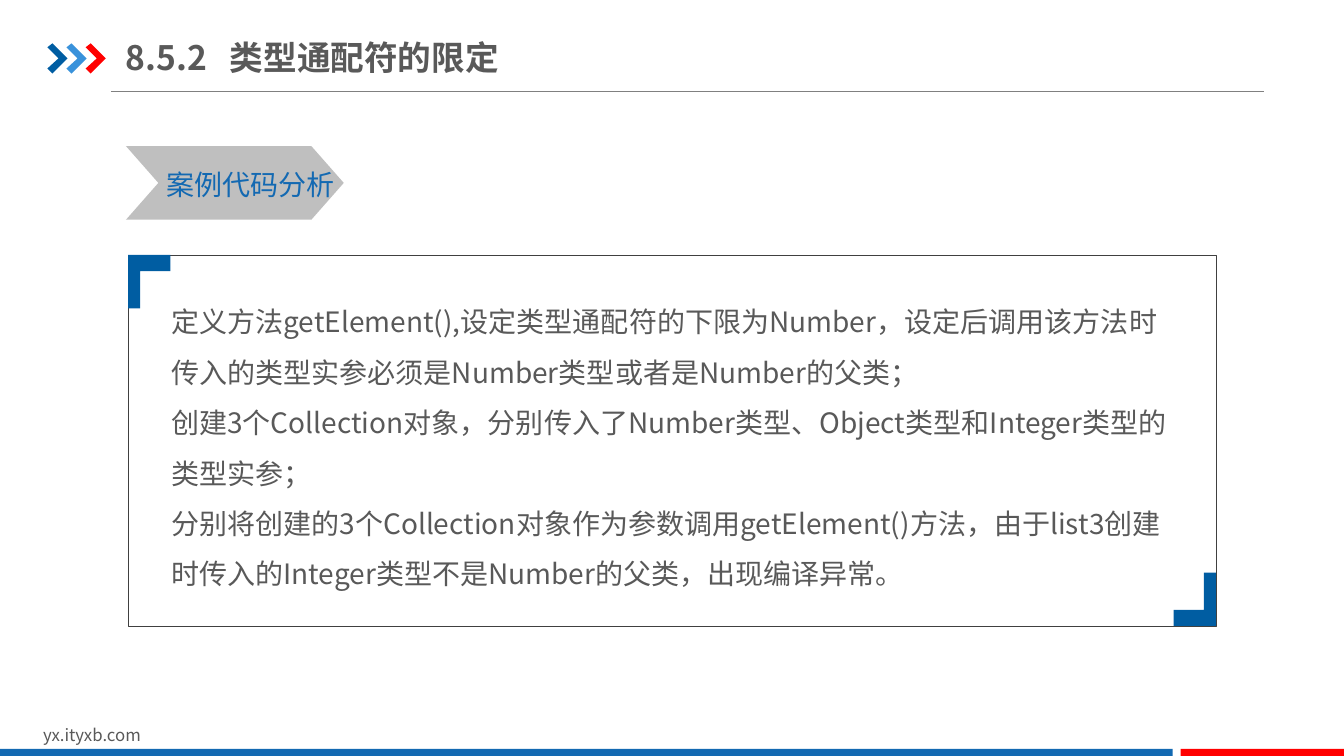
from pptx import Presentation
from pptx.dml.color import RGBColor as RGB
from pptx.enum.shapes import MSO_CONNECTOR as LINE, MSO_SHAPE as SHAPE
from pptx.enum.text import MSO_ANCHOR as ANCHOR
from pptx.oxml.ns import qn
from pptx.util import Inches, Pt
from lxml.etree import SubElement

FONT = "Noto Sans CJK SC"
COLORS = {"navy": "005DA2", "sky": "3992DB", "red": "FF0000", "blue": "1369B2",
          "text": "595959", "rule": "808080", "arrow": "BFBFBF", "frame": "404040"}

deck = Presentation()
deck.slide_width, deck.slide_height = Inches(13.33), Inches(7.5)
slide = deck.slides.add_slide(deck.slide_layouts[6])
shapes = slide.shapes


def paint(shape, color):
    shape.shadow.inherit = False
    shape.fill.solid()
    shape.fill.fore_color.rgb = RGB.from_string(COLORS[color])
    shape.line.fill.background()


def write(place, lines, size, color="text", wrap=True, bold=None):
    box = shapes.add_textbox(*map(Inches, place))
    frame = box.text_frame
    frame.word_wrap = wrap
    frame.text = lines
    for para in frame.paragraphs:
        for run in para.runs:
            font = run.font
            font.size, font.bold, font.name = Pt(size), bold, FONT
            font.color.rgb = RGB.from_string(COLORS[color])
            SubElement(font._element, qn("a:ea"), typeface=FONT)
    return frame


# Header rule
rule = shapes.add_connector(LINE.STRAIGHT, Inches(1.1), Inches(0.91), Inches(12.54), Inches(0.91))
rule.line.color.rgb = RGB.from_string(COLORS["rule"])
rule.line.width = Pt(0.75)
SubElement(rule._element.spPr, qn("a:effectLst"))

# Header arrows
arrow = [(0, 0.04), (0.05, 0), (0.2, 0.15), (0.05, 0.3), (0, 0.25), (0.11, 0.15)]
for i, color in enumerate(["navy", "sky", "red"]):
    points = [(Inches(0.47 + 0.19 * i + x), Inches(0.43 + y)) for x, y in arrow]
    form = shapes.build_freeform(*points[0])
    form.add_line_segments(points[1:])
    paint(form.convert_to_shape(), color)

# Footer
write((0.33, 7.14, 3.18, 0.3), "yx.ityxb.com", 12)
for left, width, color in [(0, 11.63, "blue"), (11.71, 1.62, "red")]:
    bar = shapes.add_shape(SHAPE.RECTANGLE, Inches(left), Inches(7.43), Inches(width), Inches(0.07))
    paint(bar, color)

# Title, with a tab between number and name
title = write((1.25, 0.29, 4.26, 0.55), "8.5.2\t类型通配符的限定", 24, bold=True)
title.margin_left = title.margin_right = 0
title.margin_top = title.margin_bottom = Inches(0.07)
title.vertical_anchor = ANCHOR.MIDDLE
tabs = SubElement(title.paragraphs[0]._p.get_or_add_pPr(), qn("a:tabLst"))
SubElement(tabs, qn("a:tab"), pos=str(Inches(1.03)), algn="l")

# Section label
label = shapes.add_shape(SHAPE.CHEVRON, Inches(1.25), Inches(1.45), Inches(2.16), Inches(0.73))
label.adjustments[0] = 0.44
paint(label, "arrow")
write((1.55, 1.61, 1.87, 0.44), "案例代码分析", 20, "blue", wrap=False)

# Analysis text
body = write((1.6, 2.81, 10.13, 3.13), "\n".join([
    "定义方法getElement(),设定类型通配符的下限为Number，设定后调用该方法时传入的类型实参"
    "必须是Number类型或者是Number的父类；",
    "创建3个Collection对象，分别传入了Number类型、Object类型和Integer类型的类型实参；",
    "分别将创建的3个Collection对象作为参数调用getElement()方法，由于list3创建时传入的"
    "Integer类型不是Number的父类，出现编译异常。",
]), 20)
for para in body.paragraphs:
    para.line_spacing = 1.5

# Frame
frame = shapes.add_shape(SHAPE.RECTANGLE, Inches(1.27), Inches(2.53), Inches(10.79), Inches(3.68))
frame.shadow.inherit = False
frame.fill.background()
frame.line.color.rgb = RGB.from_string(COLORS["frame"])
frame.line.width = Pt(0.25)

# Frame corners, the second turned by half a circle
corner = [(0, 0), (0.42, 0), (0.42, 0.16), (0.12, 0.16), (0.12, 0.53), (0, 0.53)]
for left, top, turn in [(1.27, 2.53, 0), (11.64, 5.68, 180)]:
    points = [(Inches(left + x), Inches(top + y)) for x, y in corner]
    form = shapes.build_freeform(*points[0])
    form.add_line_segments(points[1:])
    mark = form.convert_to_shape()
    mark.rotation = turn
    paint(mark, "navy")

deck.save("out.pptx")
